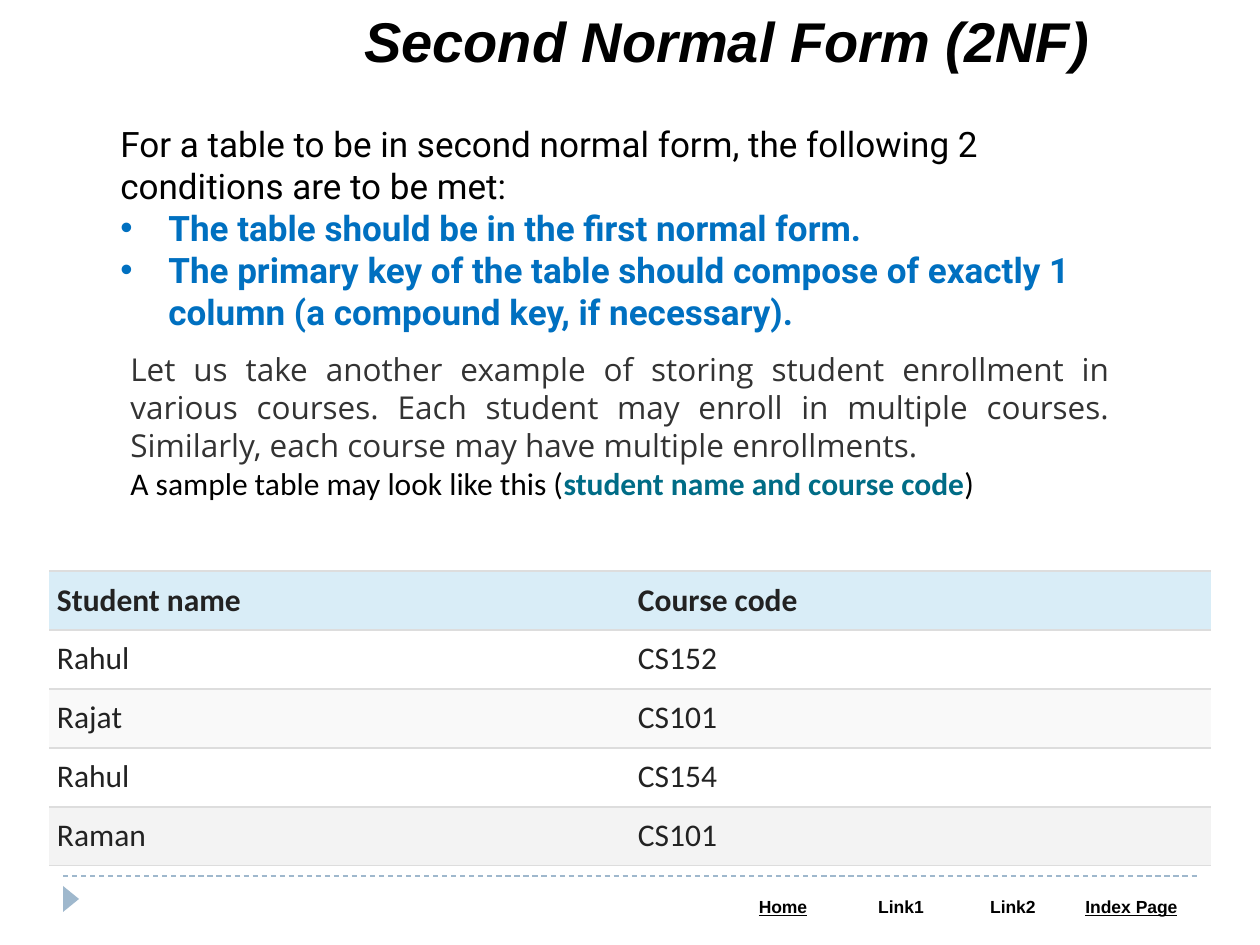
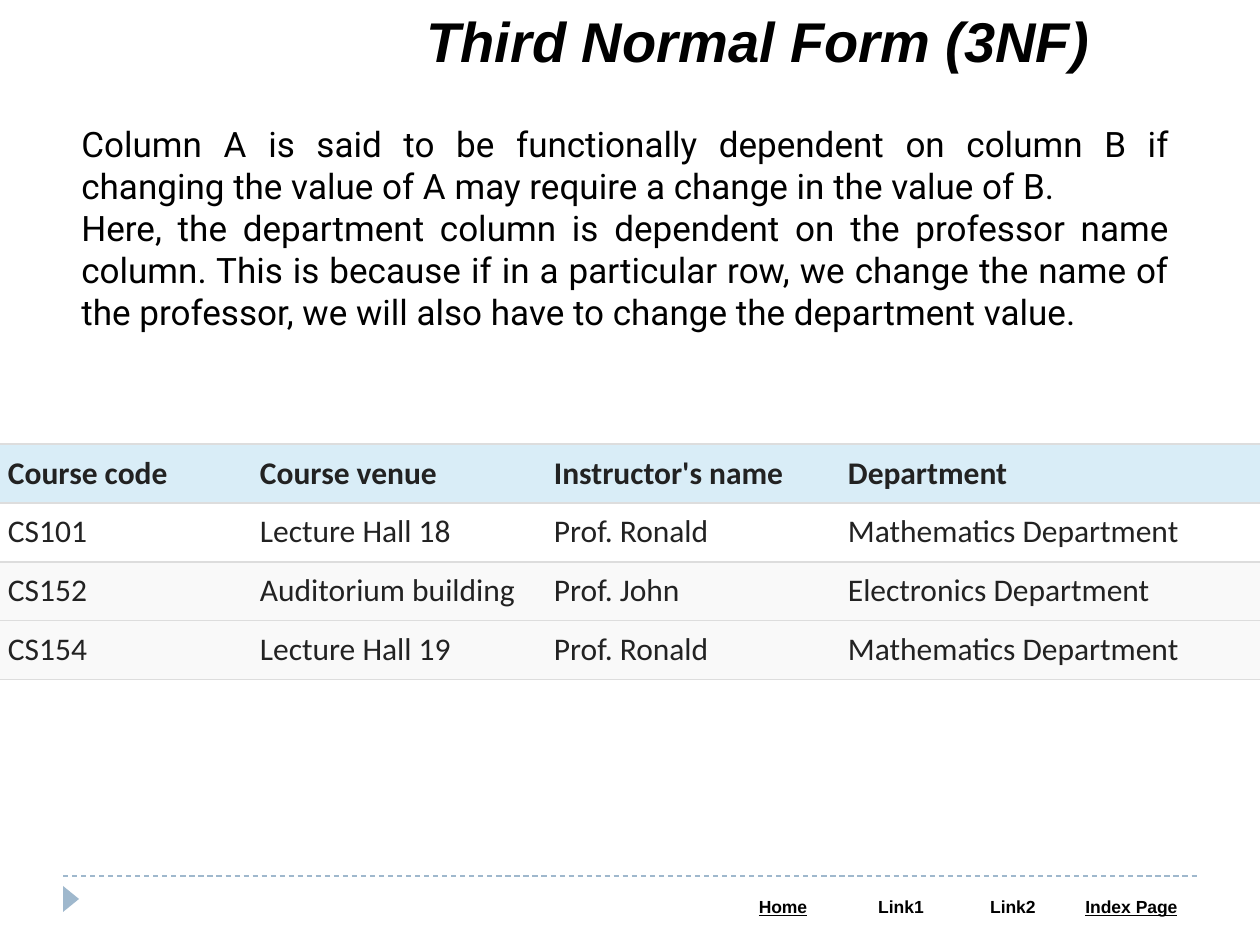
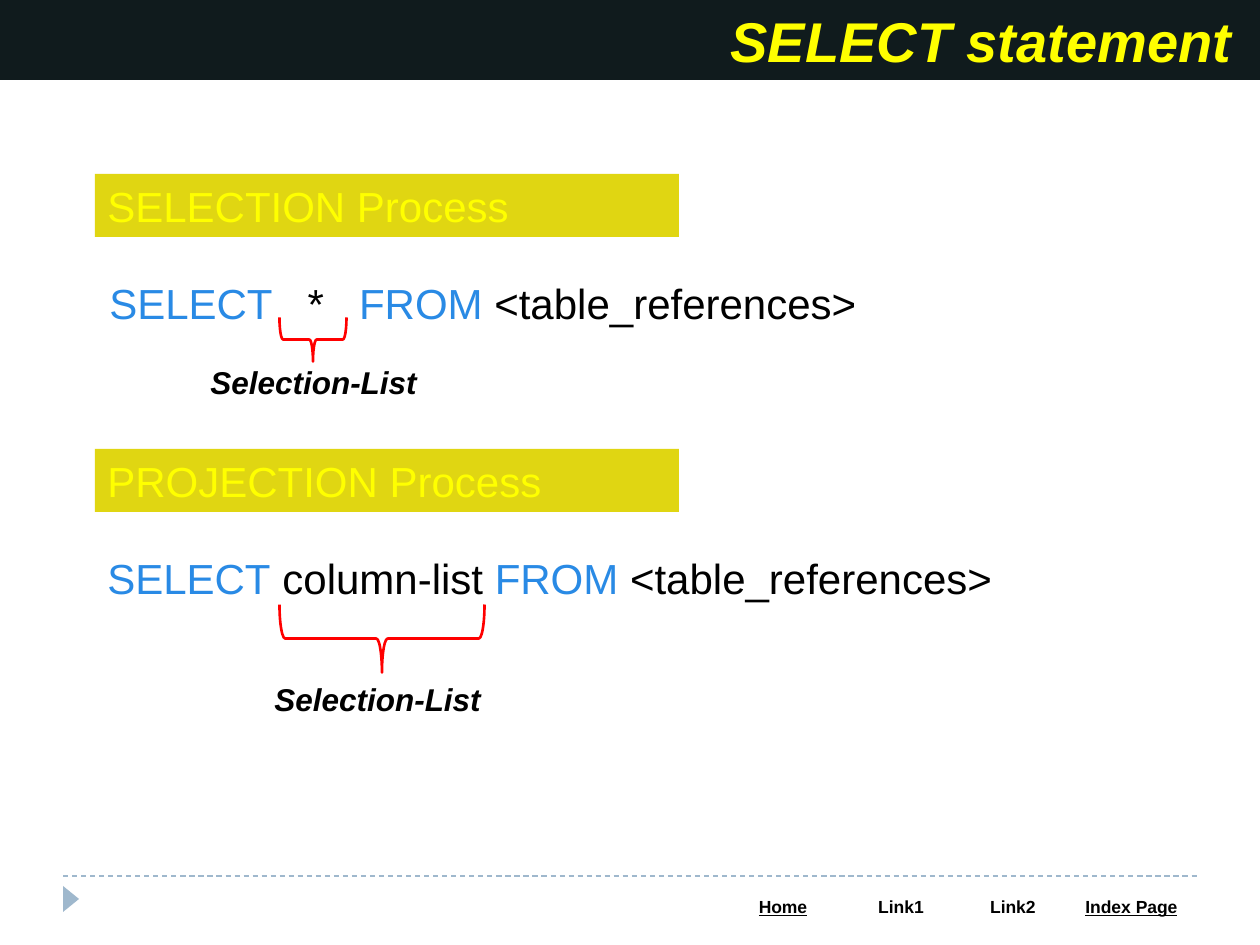
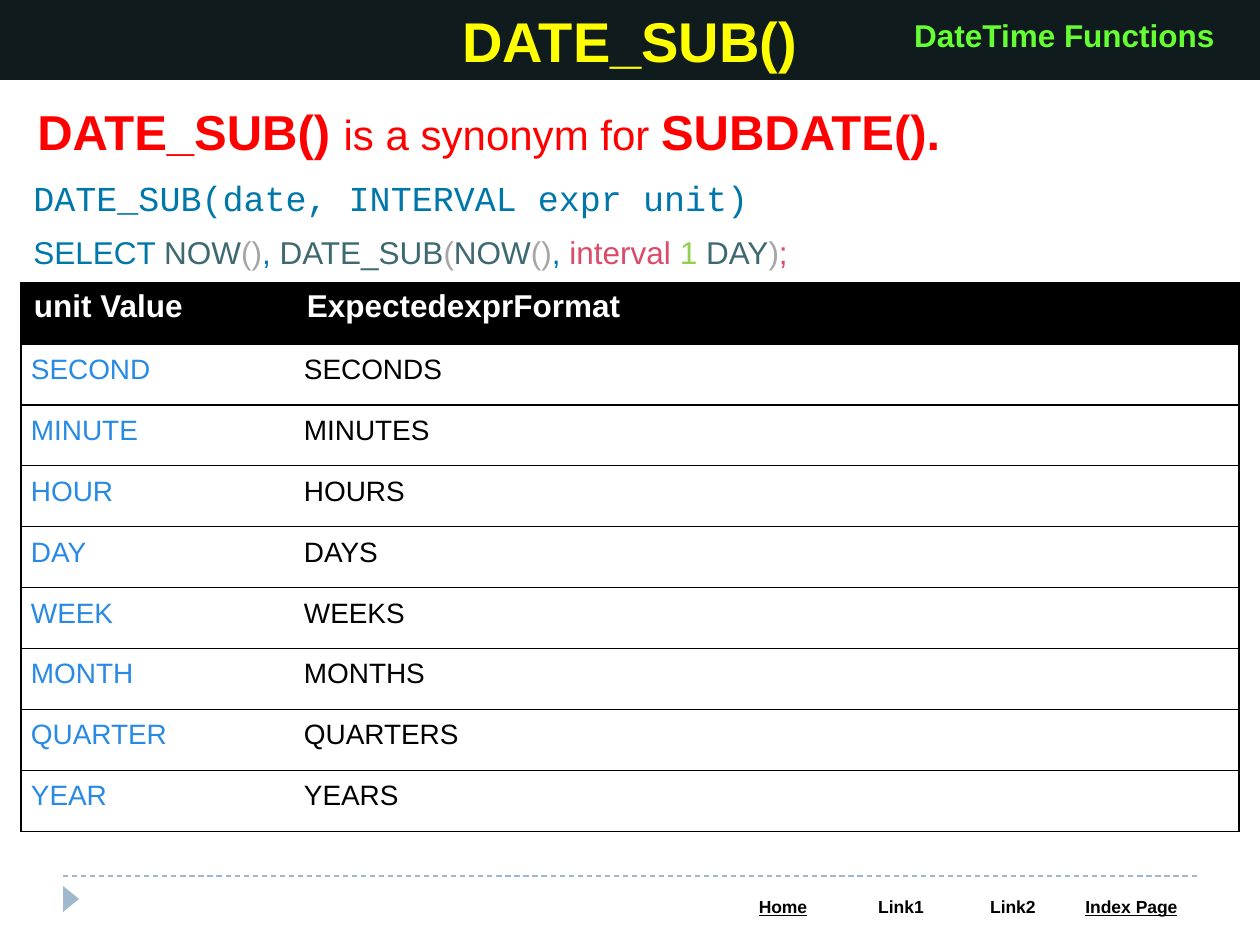
"""Build four database course slides on normal forms, SELECT and DATE_SUB()."""
from lxml import etree
from pptx import Presentation
from pptx.dml.color import RGBColor
from pptx.enum.dml import MSO_LINE
from pptx.enum.shapes import MSO_CONNECTOR, MSO_SHAPE
from pptx.enum.text import MSO_ANCHOR, MSO_AUTO_SIZE, PP_ALIGN
from pptx.oxml.ns import qn
from pptx.util import Pt

PX = 914400 / 126
LEFT, CENTER, RIGHT, JUSTIFY = PP_ALIGN.LEFT, PP_ALIGN.CENTER, PP_ALIGN.RIGHT, PP_ALIGN.JUSTIFY
TOP, MIDDLE = MSO_ANCHOR.TOP, MSO_ANCHOR.MIDDLE
TITLE_ONLY = 5
PLAIN_TABLE = "{2D5ABB26-0587-4C30-8999-92F81FD0307C}"
DEFAULT_INSETS = (13, 6)

COLORS = {
    "white": "FFFFFF", "black": "000000", "footer": "9FB8CD", "band": "101B1D",
    "yellow": "FFFF00", "mustard": "E0D612", "red": "FF0000", "lime": "66FF33",
    "blue": "0070C0", "keyword": "298AE5", "teal": "006C86", "body": "333333",
    "cell": "222222", "rule": "DDDDDD", "header": "D9EDF7", "stripe": "F9F9F9",
    "last": "F3F3F3", "syntax": "0077AA", "function": "3F6971", "bracket": "A6A6A6",
    "pink": "DD4A68", "number": "92D050",
}


def px(length):
    """Turn px into EMU."""
    return round(length * PX)


def rgb(color):
    """Look up a named colour."""
    return RGBColor.from_string(COLORS[color])


def style(size, color="black", name="Arial", bold=False, italic=False, underline=False):
    """Describe the look of a run."""
    return {"size": Pt(size), "color": color, "name": name,
            "bold": bold, "italic": italic, "underline": underline}


LABEL = style(18, bold=True, italic=True)
CODE = style(24)
CODE_KEYWORD = style(24, "keyword")
ROBOTO = style(20, name="Roboto")
ROBOTO_POINT = style(20, "blue", "Roboto", bold=True)
CALIBRI = style(18, name="Calibri")


def write(paragraph, runs, align=LEFT):
    """Fill a paragraph with (text, style) runs."""
    paragraph.alignment = align
    for text, look in runs:
        run = paragraph.add_run()
        run.text = text
        for key, value in look.items():
            if key == "color":
                run.font.color.rgb = rgb(value)
            else:
                setattr(run.font, key, value)


def add_bullet(paragraph, indent=48):
    """Give a paragraph a hanging round bullet."""
    properties = paragraph._p.get_or_add_pPr()
    properties.set("marL", str(px(indent)))
    properties.set("indent", str(-px(indent)))
    etree.SubElement(properties, qn("a:buFont"), typeface="Arial")
    etree.SubElement(properties, qn("a:buChar"), char="•")


def add_text(slide, box, paragraphs, align=LEFT, bulleted=()):
    """Add a text box; bulleted holds the indexes of bullet paragraphs."""
    frame = slide.shapes.add_textbox(*map(px, box)).text_frame
    frame.word_wrap = True
    for index, runs in enumerate(paragraphs):
        paragraph = frame.add_paragraph() if index else frame.paragraphs[0]
        if index in bulleted:
            add_bullet(paragraph)
        write(paragraph, runs, align)


def add_shape(slide, kind, box, fill=None, line=None, rotation=0):
    """Add a preset shape without shadow."""
    shape = slide.shapes.add_shape(kind, *map(px, box))
    shape.shadow.inherit = False
    shape.rotation = rotation
    if fill:
        shape.fill.solid()
        shape.fill.fore_color.rgb = rgb(fill)
    else:
        shape.fill.background()
    if line:
        shape.line.color.rgb = rgb(line)
        shape.line.width = Pt(1.5)
    else:
        shape.line.fill.background()
    return shape


def add_border(cell, side, color):
    """Draw one side of a cell."""
    border = etree.SubElement(cell._tc.get_or_add_tcPr(), qn(f"a:ln{side}"), w=str(Pt(0.75)))
    fill = etree.SubElement(border, qn("a:solidFill"))
    etree.SubElement(fill, qn("a:srgbClr"), val=COLORS[color])


def add_table(slide, left, top, widths, row_height, rows):
    """Add an unstyled table and return its cells row by row with text."""
    frame = slide.shapes.add_table(len(rows), len(widths), px(left), px(top),
                                   px(sum(widths)), px(row_height * len(rows)))
    table = frame.table
    table.first_row = table.horz_banding = False
    for style_id in frame.element.iter(qn("a:tableStyleId")):
        style_id.text = PLAIN_TABLE
    for column, width in zip(table.columns, widths):
        column.width = px(width)
    for row in table.rows:
        row.height = px(row_height)
    return [(r, c, table.cell(r, c), text)
            for r, texts in enumerate(rows) for c, text in enumerate(texts)]


def format_cell(cell, text, look, fill, insets=DEFAULT_INSETS, anchor=TOP, align=LEFT):
    """Set the text, margins and fill of a cell."""
    cell.margin_left = cell.margin_right = px(insets[0])
    cell.margin_top = cell.margin_bottom = px(insets[1])
    cell.vertical_anchor = anchor
    cell.fill.solid()
    cell.fill.fore_color.rgb = rgb(fill)
    write(cell.text_frame.paragraphs[0], [(text, look)], align)


def add_record_table(slide, left, top, widths, rows, row_fills):
    """Add a table of sample records with thin grey rules."""
    for r, _, cell, text in add_table(slide, left, top, widths, 59, rows):
        for side in "TB":
            add_border(cell, side, "rule")
        look = style(18, "cell", "Calibri", bold=r == 0)
        format_cell(cell, text, look, row_fills[r], (8, 10), TOP if r else MIDDLE)


def add_unit_table(slide, rows):
    """Add the black-headed table of interval units."""
    for r, c, cell, text in add_table(slide, 21, 283, (273, 945), 61, rows):
        for side in ("RTB" if c else "LTB"):
            add_border(cell, side, "black")
        if r == 0:
            format_cell(cell, text, style(18, "white", bold=True), "black")
        else:
            look = style(16, "black" if c else "keyword")
            format_cell(cell, text, look, "white", (10, 10))


def add_footer(slide):
    """Add the arrow, dashed rule and navigation labels."""
    add_shape(slide, MSO_SHAPE.ISOSCELES_TRIANGLE, (58, 891, 26, 16), "footer", rotation=90)
    rule = slide.shapes.add_connector(MSO_CONNECTOR.STRAIGHT, px(63), px(876), px(1197), px(876))
    rule.line.color.rgb = rgb("footer")
    rule.line.width = Pt(0.75)
    rule.line.dash_style = MSO_LINE.DASH
    etree.SubElement(rule.element.spPr, qn("a:effectLst"))
    labels = ("Home", "Link1", "Link2", "Index Page")
    for _, _, cell, text in add_table(slide, 724, 892, (118, 118, 106, 131), 34, [labels]):
        look = style(10, bold=True, underline=not text.startswith("Link"))
        format_cell(cell, text, look, "white", align=CENTER)


def add_slide(deck, title, box, fill, color, align=RIGHT, italic=True, right_inset=13):
    """Add a slide with its title band and footer."""
    slide = deck.slides.add_slide(deck.slide_layouts[TITLE_ONLY])
    heading = slide.shapes.title
    heading.left, heading.top, heading.width, heading.height = map(px, box)
    heading.fill.solid()
    heading.fill.fore_color.rgb = rgb(fill)
    frame = heading.text_frame
    frame.auto_size = MSO_AUTO_SIZE.NONE
    frame.vertical_anchor = MIDDLE
    frame.margin_right = px(right_inset)
    write(frame.paragraphs[0], [(title, style(32, color, bold=True, italic=italic))], align)
    add_footer(slide)
    return slide


def add_form_slide(deck, title):
    """Add a slide about a normal form, with a plain white title."""
    return add_slide(deck, title, (158, 0, 945, 80), "white", "black")


def add_band_slide(deck, title, **options):
    """Add a slide with a dark full-width title band."""
    return add_slide(deck, title, (0, 0, 1260, 80), "band", "yellow", **options)


def add_process(slide, top, name, statement, statement_box, brace_box, label_box):
    """Add a named SELECT process with its braced selection list."""
    header = add_shape(slide, MSO_SHAPE.RECTANGLE, (95, top, 584, 63), "mustard")
    header.text_frame.vertical_anchor = MIDDLE
    write(header.text_frame.paragraphs[0], [(name, style(24, "yellow"))])
    add_text(slide, statement_box, [statement])
    add_shape(slide, MSO_SHAPE.LEFT_BRACE, brace_box, line="red", rotation=270)
    add_text(slide, label_box, [[("Selection-List", LABEL)]])


def second_form(deck):
    """Build the second normal form slide."""
    slide = add_form_slide(deck, "Second Normal Form (2NF)")
    add_text(slide, (108, 116, 1043, 224), [
        [("For a table to be in second normal form, the following 2 conditions are to be met:",
          ROBOTO)],
        [("The table should be in the first normal form.", ROBOTO_POINT)],
        [("The primary key of the table should compose of exactly 1 column "
          "(a compound key, if necessary).", ROBOTO_POINT)],
    ], bulleted=(1, 2))
    add_text(slide, (118, 344, 1004, 165), [
        [("Let us take another example of storing student enrollment in various courses. "
          "Each student may enroll in multiple courses. Similarly, each course may have "
          "multiple enrollments.", style(18, "body", "Open Sans"))],
        [("A sample table may look like this (", CALIBRI),
         ("student name and course code", style(18, "teal", "Calibri", bold=True)),
         (")", CALIBRI)],
    ], JUSTIFY)
    add_record_table(slide, 49, 571, (581, 581), [
        ("Student name", "Course code"),
        ("Rahul", "CS152"),
        ("Rajat", "CS101"),
        ("Rahul", "CS154"),
        ("Raman", "CS101"),
    ], ("header", "white", "stripe", "white", "last"))


def third_form(deck):
    """Build the third normal form slide."""
    slide = add_form_slide(deck, "Third Normal Form (3NF)")
    add_text(slide, (69, 116, 1113, 224), [
        [("Column A is said to be functionally dependent on column B if changing the value "
          "of A may require a change in the value of B.", ROBOTO)],
        [("Here, the department column is dependent on the professor name column. This is "
          "because if in a particular row, we change the name of the professor, we will also "
          "have to change the department value.", ROBOTO)],
    ], JUSTIFY)
    add_record_table(slide, 0, 444, (252, 294, 294, 420), [
        ("Course code", "Course venue", "Instructor's name", "Department"),
        ("CS101", "Lecture Hall 18", "Prof. Ronald", "Mathematics Department"),
        ("CS152", "Auditorium building", "Prof. John", "Electronics Department"),
        ("CS154", "Lecture Hall 19", "Prof. Ronald", "Mathematics Department"),
    ], ("header", "white", "stripe", "stripe"))


def select_statement(deck):
    """Build the SELECT statement slide."""
    slide = add_band_slide(deck, "SELECT statement", right_inset=28)
    source = (" <table_references>", CODE)
    add_process(slide, 174, "SELECTION Process",
                [("SELECT", CODE_KEYWORD), ("   *   ", CODE), ("FROM", CODE_KEYWORD), source],
                (97, 271, 1134, 115), (291, 306, 44, 67), (198, 357, 242, 50))
    add_process(slide, 449, "PROJECTION Process",
                [("SELECT", CODE_KEYWORD), (" column-list", CODE), (" FROM", CODE_KEYWORD), source],
                (95, 546, 1144, 63), (348, 536, 68, 205), (262, 674, 242, 50))


def date_sub(deck):
    """Build the DATE_SUB() slide."""
    slide = add_band_slide(deck, "DATE_SUB()", align=CENTER, italic=False)
    add_text(slide, (898, 10, 329, 50),
             [[("DateTime Functions", style(18, "lime", bold=True))]], RIGHT)
    strong = style(28, "red", bold=True)
    add_text(slide, (25, 95, 1202, 72), [[
        ("DATE_SUB() ", strong), ("is a synonym for ", style(24, "red")), ("SUBDATE().", strong)]])
    add_text(slide, (21, 170, 1206, 55),
             [[("DATE_SUB(date, INTERVAL expr unit)", style(20, "syntax", "Courier New"))]])
    query = [
        ("SELECT ", "syntax"), ("NOW", "function"), ("()", "bracket"), (", ", "syntax"),
        ("DATE_SUB", "function"), ("(", "bracket"), ("NOW", "function"), ("()", "bracket"),
        (",", "syntax"), (" interval ", "pink"), ("1 ", "number"), ("DAY", "function"),
        (")", "bracket"), (";", "pink"),
    ]
    add_text(slide, (21, 227, 1218, 50), [[(token, style(18, color)) for token, color in query]])
    units = ("SECOND", "MINUTE", "HOUR", "DAY", "WEEK", "MONTH", "QUARTER", "YEAR")
    add_unit_table(slide, [("unit Value", "ExpectedexprFormat")]
                   + [(unit, unit + "S") for unit in units])


def main():
    """Build and save the deck."""
    deck = Presentation()
    deck.slide_width, deck.slide_height = px(1260), px(945)
    for build in (second_form, third_form, select_statement, date_sub):
        build(deck)
    deck.save("out.pptx")


if __name__ == "__main__":
    main()
